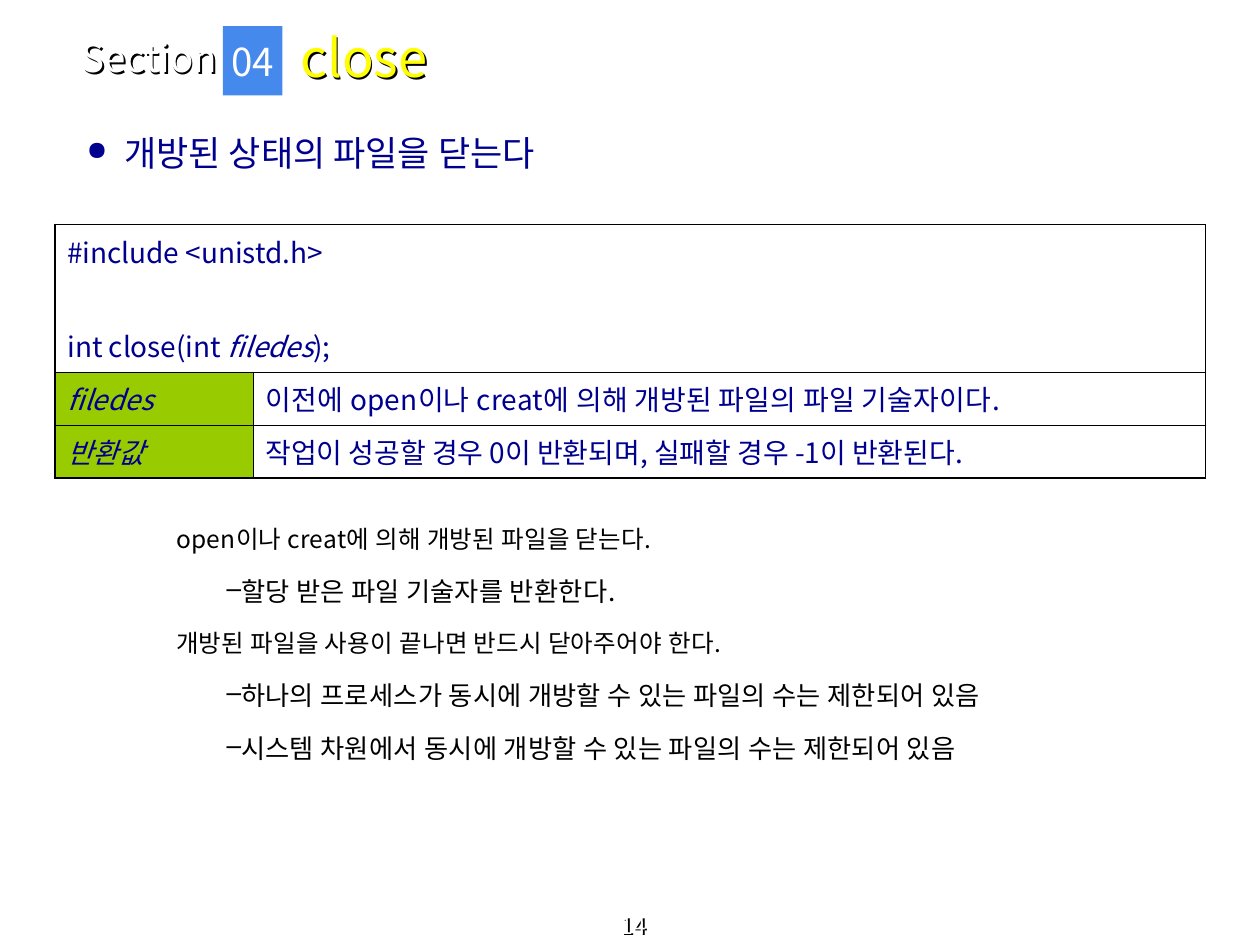
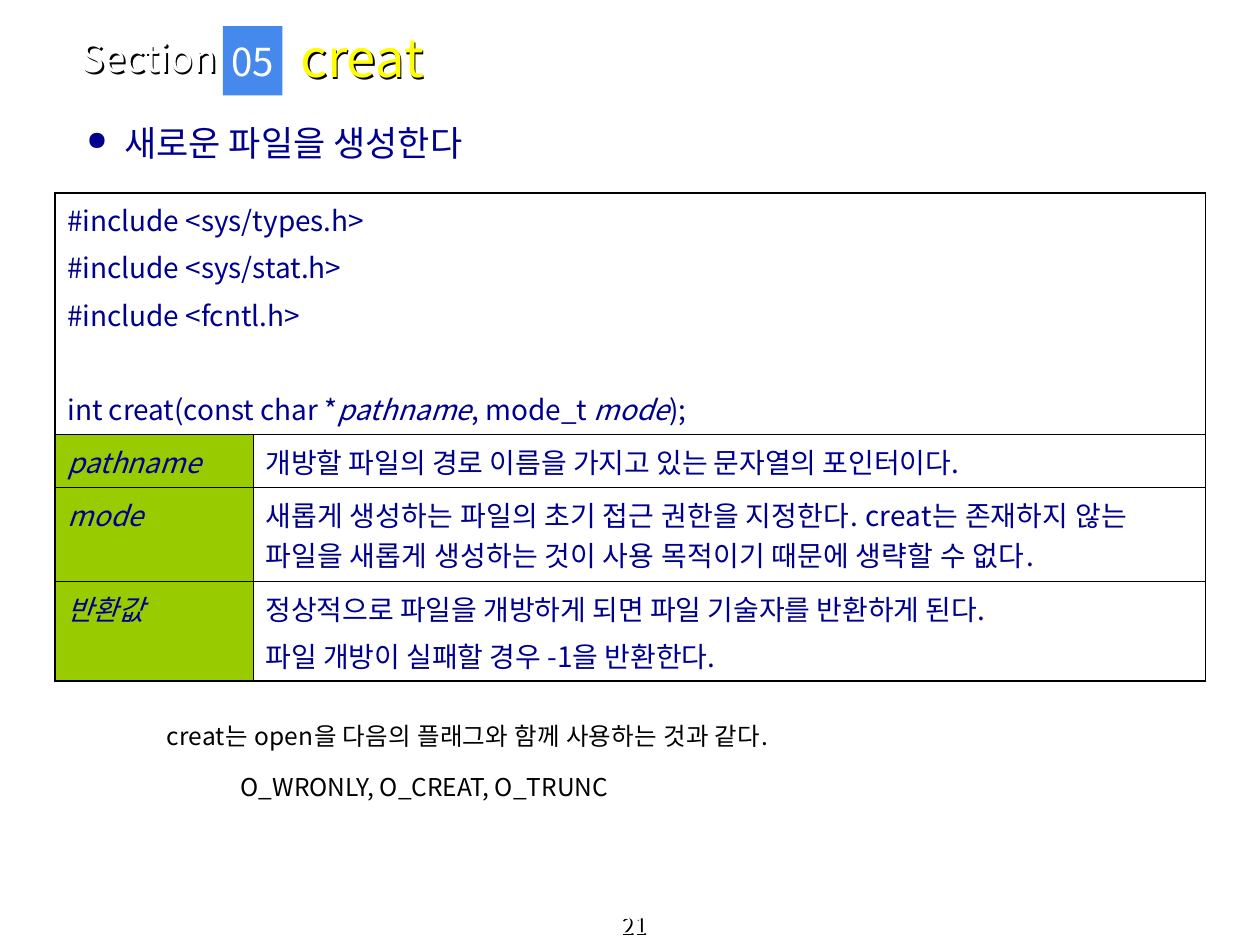
from lxml import etree
from pptx import Presentation
from pptx.dml.color import RGBColor
from pptx.enum.shapes import MSO_SHAPE
from pptx.enum.text import MSO_ANCHOR as ANCHOR, PP_ALIGN as ALIGN
from pptx.oxml import parse_xml
from pptx.oxml.ns import nsdecls, qn
from pptx.util import Pt

FONT = "Noto Sans CJK KR"
NAVY, BLACK, WHITE = "00008E", "000000", "FFFFFF"
YELLOW, BLUE, GREEN = "FFFF00", "4589ED", "99CC00"
OUTER, INNER = 1.08, 0.45
COLUMNS = (113.3, 544.3)
LINE_GAP, BLANK_LINE_GAP = 4, 31
TIGHT, LOOSE = 0, 18  # letter spacing in hundredths of a point


def rgb(hex_color):
    return RGBColor.from_string(hex_color)


def add_run(p, text, size, color, italic=False, spacing=TIGHT):
    r = p.add_run()
    r.text = text
    font = r.font
    font.size, font.name, font.italic = Pt(size), FONT, italic
    font.color.rgb = rgb(color)
    rPr = r._r.get_or_add_rPr()
    if spacing:
        rPr.set("spc", str(spacing))
    rPr.find(qn("a:latin")).addnext(
        parse_xml(f'<a:ea {nsdecls("a")} typeface="{FONT}"/>'))


def set_indent(p, margin, first=0, bullet=None, color=BLACK, percent=100):
    pPr = p._p.get_or_add_pPr()
    pPr.set("marL", str(Pt(margin)))
    pPr.set("indent", str(Pt(first)))
    if bullet:
        bu_clr = etree.SubElement(pPr, qn("a:buClr"))
        etree.SubElement(bu_clr, qn("a:srgbClr"), val=color)
        etree.SubElement(pPr, qn("a:buSzPct"), val=str(percent * 1000))
        etree.SubElement(pPr, qn("a:buChar"), char=bullet)


def add_text_box(s, left, top, width, height, anchor=ANCHOR.TOP, shadow=False):
    """Text box; with shadow, its unfilled outline lets the letters cast it."""
    sp = s.shapes.add_textbox(Pt(left), Pt(top), Pt(width), Pt(height))
    if shadow:
        sp._element.spPr.append(parse_xml(
            f'<a:effectLst {nsdecls("a")}><a:outerShdw blurRad="0" dist="17961" '
            f'dir="2700000" algn="ctr" rotWithShape="0"><a:srgbClr val="{BLACK}"/>'
            '</a:outerShdw></a:effectLst>'))
    tf = sp.text_frame
    tf.word_wrap = True
    tf.vertical_anchor = anchor
    return tf


def next_paragraph(tf, index):
    return tf.add_paragraph() if index else tf.paragraphs[0]


def add_header(s, number, title):
    tf = add_text_box(s, 39.6, 19.4, 139, 26.6, ANCHOR.MIDDLE, shadow=True)
    add_run(tf.paragraphs[0], "Section", 22, WHITE)
    tf = add_text_box(s, 164.6, 8, 467, 49, ANCHOR.MIDDLE, shadow=True)
    add_run(tf.paragraphs[0], title, 30, YELLOW)

    badge = s.shapes.add_shape(MSO_SHAPE.RECTANGLE, Pt(127.4), Pt(15), Pt(34), Pt(39.6))
    badge.shadow.inherit = False
    badge.fill.solid()
    badge.fill.fore_color.rgb = rgb(BLUE)
    badge.line.fill.background()
    tf = badge.text_frame
    tf.word_wrap = False
    tf.vertical_anchor = ANCHOR.MIDDLE
    p = tf.paragraphs[0]
    p.alignment = ALIGN.CENTER
    add_run(p, number, 22, WHITE)


def add_page_number(s, number):
    p = add_text_box(s, 4, 524, 716, 16, ANCHOR.BOTTOM, shadow=True).paragraphs[0]
    p.alignment = ALIGN.CENTER
    add_run(p, number, 13, WHITE)


def add_summary(s, top, text):
    p = add_text_box(s, 42.5, top, 664, 34).paragraphs[0]
    set_indent(p, 21.5, -21.5, "●", NAVY, 75)
    add_run(p, text, 20, NAVY)


def set_borders(cell, **widths):
    tcPr = cell._tc.get_or_add_tcPr()
    for i, side in enumerate("LRTB"):
        tcPr.insert(i, parse_xml(
            f'<a:ln{side} {nsdecls("a")} w="{Pt(widths[side])}"><a:solidFill>'
            f'<a:srgbClr val="{BLACK}"/></a:solidFill></a:ln{side}>'))


def fill_cell(cell, lines, italic_first=False, spacing=TIGHT):
    """Write lines of runs that alternate upright and italic; None is an empty line."""
    gap = 0
    tf = cell.text_frame
    written = 0
    for line in lines:
        if line is None:
            gap = BLANK_LINE_GAP
            continue
        p = next_paragraph(tf, written)
        p.space_before = Pt(gap)
        for i, text in enumerate(line):
            add_run(p, text, 16, NAVY, (i % 2 == 1) != italic_first, spacing)
        gap = LINE_GAP
        written += 1


def add_reference_table(s, top, heights, code, entries):
    """Function prototype across the top, then one row for each term."""
    table = s.shapes.add_table(len(heights), 2, Pt(31.3), Pt(top),
                               Pt(sum(COLUMNS)), Pt(sum(heights))).table
    table.first_row = table.horz_banding = False
    for column, width in zip(table.columns, COLUMNS):
        column.width = Pt(width)
    last = len(heights) - 1
    for i, height in enumerate(heights):
        table.rows[i].height = Pt(height)
        for j in range(2):
            cell = table.cell(i, j)
            if i and j == 0:
                cell.fill.solid()
                cell.fill.fore_color.rgb = rgb(GREEN)
            else:
                cell.fill.background()
            set_borders(cell, L=INNER if j else OUTER,
                        R=OUTER if j or i == 0 else INNER,
                        T=INNER if i else OUTER, B=OUTER if i == last else INNER)
    prototype = table.cell(0, 0)
    prototype.merge(table.cell(0, 1))
    fill_cell(prototype, code)
    for i, (term, spacing, *meaning) in enumerate(entries, 1):
        fill_cell(table.cell(i, 0), [[term]], italic_first=True)
        fill_cell(table.cell(i, 1), [[text] for text in meaning], spacing=spacing)


def add_notes_list(s, left, top, width, height, items):
    """Items are (kind, text), with kind main, dash or inset."""
    tf = add_text_box(s, left, top, width, height)
    for i, (kind, text) in enumerate(items):
        p = next_paragraph(tf, i)
        if kind == "dash":
            set_indent(p, 14.4, 14.4, "–")
        elif kind == "inset":
            set_indent(p, 42.5)
        p.line_spacing = 1.5
        p.space_before = Pt(3.6 if i else 0)
        add_run(p, text, 15 if kind == "dash" else 14, BLACK,
                spacing=TIGHT if kind == "inset" else LOOSE)


def add_section(prs, number, title, page):
    s = prs.slides.add_slide(prs.slide_layouts[6])
    add_page_number(s, page)
    add_header(s, number, title)
    return s


def main():
    prs = Presentation()
    prs.slide_width, prs.slide_height = Pt(720), Pt(540)

    s = add_section(prs, "04", "close", "14")
    add_summary(s, 71.7, "개방된 상태의 파일을 닫는다")
    add_reference_table(
        s, 128.2, (84.4, 30.2, 30.2),
        [["#include <unistd.h>"], None, ["int close(int ", "filedes", ");"]],
        [("filedes", LOOSE, "이전에 open이나 creat에 의해 개방된 파일의 파일 기술자이다."),
         ("반환값", TIGHT, "작업이 성공할 경우 0이 반환되며, 실패할 경우 -1이 반환된다.")])
    add_notes_list(s, 93.6, 287.3, 562, 176, [
        ("main", "open이나 creat에 의해 개방된 파일을 닫는다."),
        ("dash", "할당 받은 파일 기술자를 반환한다."),
        ("main", "개방된 파일을 사용이 끝나면 반드시 닫아주어야 한다."),
        ("dash", "하나의 프로세스가 동시에 개방할 수 있는 파일의 수는 제한되어 있음"),
        ("dash", "시스템 차원에서 동시에 개방할 수 있는 파일의 수는 제한되어 있음")])

    s = add_section(prs, "05", "creat", "21")
    add_summary(s, 65.9, "새로운 파일을 생성한다")
    add_reference_table(
        s, 110.2, (138.2, 30.2, 53.7, 57),
        [["#include <sys/types.h>"], ["#include <sys/stat.h>"], ["#include <fcntl.h>"], None,
         ["int creat(const char *", "pathname", ", mode_t ", "mode", ");"]],
        [("pathname", TIGHT, "개방할 파일의 경로 이름을 가지고 있는 문자열의 포인터이다."),
         ("mode", LOOSE, "새롭게 생성하는 파일의 초기 접근 권한을 지정한다. creat는 존재하지 않는 "
                         "파일을 새롭게 생성하는 것이 사용 목적이기 때문에 생략할 수 없다."),
         ("반환값", TIGHT, "정상적으로 파일을 개방하게 되면 파일 기술자를 반환하게 된다.",
          "파일 개방이 실패할 경우 -1을 반환한다.")])
    add_notes_list(s, 88, 400.3, 595, 73, [
        ("main", "creat는 open을 다음의 플래그와 함께 사용하는 것과 같다."),
        ("inset", "O_WRONLY, O_CREAT, O_TRUNC")])

    prs.save("out.pptx")


if __name__ == "__main__":
    main()
